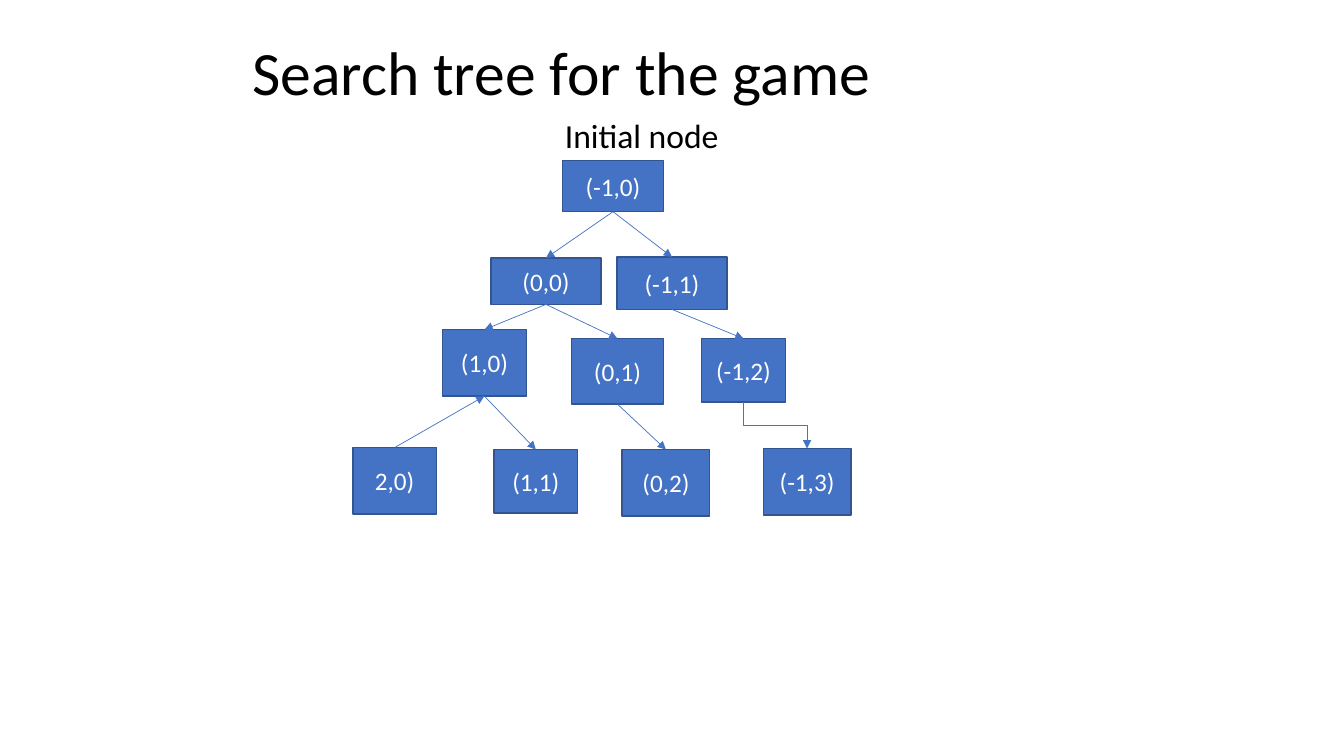
from dataclasses import dataclass

from lxml import etree
from pptx import Presentation
from pptx.dml.color import RGBColor
from pptx.enum.shapes import MSO_CONNECTOR, MSO_SHAPE
from pptx.enum.text import MSO_ANCHOR, PP_ALIGN
from pptx.oxml.ns import qn
from pptx.util import Inches, Pt

RECT = MSO_SHAPE.RECTANGLE
LINE, BENT = MSO_CONNECTOR.STRAIGHT, MSO_CONNECTOR.ELBOW
TOP, MID, LOW = MSO_ANCHOR.TOP, MSO_ANCHOR.MIDDLE, MSO_ANCHOR.BOTTOM
CENTER = PP_ALIGN.CENTER
HEAD, FOOT = 0, 2
CELL = Inches(0.1)
FONT = "Calibri"
BLUE, EDGE, WHITE, BLACK = "4472C4", "325491", "FFFFFF", "000000"


@dataclass(frozen=True)
class Label:
    text: str
    col: float
    row: float
    cols: float
    rows: float
    size: int
    anchor: int
    inset: float
    before: int = 0


@dataclass(frozen=True)
class Node:
    text: str
    col: float
    row: float
    cols: float
    rows: float


@dataclass(frozen=True)
class Link:
    start: str
    end: str
    kind: int = LINE
    rising: bool = False


LABELS = [
    Label("Search tree for the game", 10.4, 1.1, 92, 10.2, 44, LOW, 2.4),
    Label("Initial node", 0.9, 11.4, 130.8, 61.6, 24, TOP, 6.3, 10),
]
NODES = [
    Node("(-1,0)", 55.8, 15.9, 10, 5.1),
    Node("(0,0)", 48.7, 25.6, 10.9, 4.6),
    Node("(-1,1)", 61.2, 25.5, 10.9, 5.2),
    Node("(1,0)", 43.9, 32.7, 8.3, 6.6),
    Node("(0,1)", 56.7, 33.6, 9.1, 6.5),
    Node("(-1,2)", 69.6, 33.6, 8.3, 6.3),
    Node("2,0)", 35, 44.4, 8.3, 6.6),
    Node("(1,1)", 49, 44.6, 8.3, 6.3),
    Node("(0,2)", 61.7, 44.6, 8.7, 6.6),
    Node("(-1,3)", 75.7, 44.5, 8.7, 6.6),
]
LINKS = [
    Link("(-1,0)", "(0,0)"),
    Link("(-1,0)", "(-1,1)"),
    Link("(0,0)", "(1,0)"),
    Link("(0,0)", "(0,1)"),
    Link("(-1,1)", "(-1,2)"),
    Link("2,0)", "(1,0)", rising=True),
    Link("(1,0)", "(1,1)"),
    Link("(0,1)", "(0,2)"),
    Link("(-1,2)", "(-1,3)", BENT),
]


def paint(target, shade: str) -> None:
    target.rgb = RGBColor.from_string(shade)


def place(item: Label | Node) -> list[int]:
    return [round(n * CELL) for n in (item.col, item.row, item.cols, item.rows)]


def write(shape, text: str, size: int, shade: str, anchor: int):
    frame = shape.text_frame
    frame.text = text
    frame.word_wrap = True
    frame.vertical_anchor = anchor
    para = frame.paragraphs[0]
    para.alignment = CENTER
    font = para.runs[0].font
    font.name, font.size = FONT, Pt(size)
    paint(font.color, shade)
    return frame


def draw_label(slide, label: Label) -> None:
    box = slide.shapes.add_textbox(*place(label))
    frame = write(box, label.text, label.size, BLACK, label.anchor)
    frame.margin_right = round(label.inset * CELL)
    para = frame.paragraphs[0]
    para.line_spacing = 0.9
    para.space_before = Pt(label.before)


def draw_node(slide, node: Node):
    box = slide.shapes.add_shape(RECT, *place(node))
    box.shadow.inherit = False
    box.fill.solid()
    paint(box.fill.fore_color, BLUE)
    paint(box.line.color, EDGE)
    box.line.width = Pt(1)
    write(box, node.text, 18, WHITE, MID)
    return box


def turn(wire) -> None:
    wide, high = wire.width, wire.height
    wire.left += (wide - high) // 2
    wire.top += (high - wide) // 2
    wire.width, wire.height = high, wide
    frame = wire._element.spPr.find(qn("a:xfrm"))
    frame.set("rot", str(270 * 60000))
    frame.set("flipH", "1")


def draw_link(slide, link: Link, boxes: dict) -> None:
    wire = slide.shapes.add_connector(link.kind, 0, 0, 0, 0)
    sides = (HEAD, FOOT) if link.rising else (FOOT, HEAD)
    wire.begin_connect(boxes[link.start], sides[0])
    wire.end_connect(boxes[link.end], sides[1])
    if link.kind == BENT:
        turn(wire)
    paint(wire.line.color, BLUE)
    wire.line.width = Pt(0.5)
    props = wire._element.spPr
    etree.SubElement(props.find(qn("a:ln")), qn("a:tailEnd"), type="triangle")
    etree.SubElement(props, qn("a:effectLst"))


def main() -> None:
    deck = Presentation()
    deck.slide_width, deck.slide_height = Inches(13.33), Inches(7.5)
    slide = deck.slides.add_slide(deck.slide_layouts[6])
    for label in LABELS:
        draw_label(slide, label)
    boxes = {node.text: draw_node(slide, node) for node in NODES}
    for link in LINKS:
        draw_link(slide, link, boxes)
    deck.save("out.pptx")


if __name__ == "__main__":
    main()
